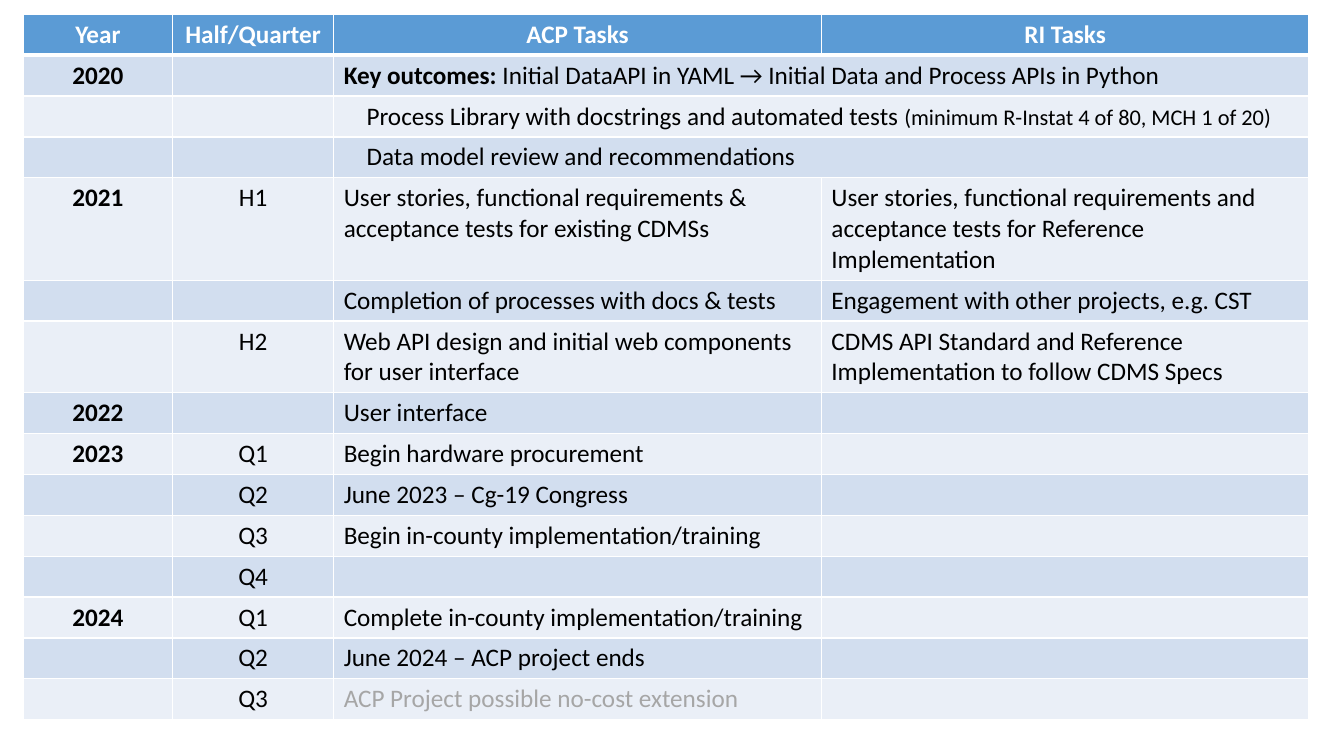
import pptx
import pptx.util
import pptx.dml.color
import pptx.enum.text
import lxml.etree
from pptx.oxml.ns import qn

Cm = pptx.util.Cm
CENTER = pptx.enum.text.PP_ALIGN.CENTER
LEFT = pptx.enum.text.PP_ALIGN.LEFT


def color(value):
    return pptx.dml.color.RGBColor.from_string(value)


def add_text(p, text, size=18, bold=False, fill="000000", align=LEFT):
    p.alignment = align
    r = p.add_run()
    r.text = text
    r.font.name = "Calibri"
    r.font.size = pptx.util.Pt(size)
    r.font.bold = bold
    r.font.color.rgb = color(fill)


prs = pptx.Presentation()
prs.slide_width, prs.slide_height = Cm(33.87), Cm(19.05)
s = prs.slides.add_slide(prs.slide_layouts[6])

# Roadmap content: year, half or quarter, ACP tasks, RI tasks
rows = [
    ("Year", "Half/Quarter", "ACP Tasks", "RI Tasks"),
    ("2020", "", "Key outcomes:", ""),
    ("", "", "Process Library with docstrings and automated tests ", ""),
    ("", "", "Data model review and recommendations", ""),
    ("2021", "H1",
     "User stories, functional requirements & acceptance tests for existing CDMSs",
     "User stories, functional requirements and acceptance tests for Reference Implementation"),
    ("", "", "Completion of processes with docs & tests",
     "Engagement with other projects, e.g. CST"),
    ("", "H2", "Web API design and initial web components for user interface",
     "CDMS API Standard and Reference Implementation to follow CDMS Specs"),
    ("2022", "", "User interface", ""),
    ("2023", "Q1", "Begin hardware procurement", ""),
    ("", "Q2", "June 2023 – Cg-19 Congress", ""),
    ("", "Q3", "Begin in-county implementation/training", ""),
    ("", "Q4", "", ""),
    ("2024", "Q1", "Complete in-county implementation/training", ""),
    ("", "Q2", "June 2024 – ACP project ends", ""),
    ("", "Q3", "ACP Project possible no-cost extension", ""),
]
widths = [3.76, 4.06, 12.29, 12.29]
row_height = 1.03

# Table grid
table = s.shapes.add_table(len(rows), len(widths), Cm(0.59), Cm(0.36),
                           Cm(sum(widths)), Cm(row_height * len(rows))).table
for column, width in zip(table.columns, widths):
    column.width = Cm(width)
for row in table.rows:
    row.height = Cm(row_height)

# Cells: white borders, banded fills and text
for i, row in enumerate(rows):
    for j, text in enumerate(row):
        cell = table.cell(i, j)
        tcPr = cell._tc.get_or_add_tcPr()
        for side in "LRTB":
            thick = (i, side) in [(0, "B"), (1, "T")]
            ln = lxml.etree.SubElement(tcPr, qn("a:ln" + side),
                                       w=str(pptx.util.Pt(3 if thick else 1)))
            solid = lxml.etree.SubElement(ln, qn("a:solidFill"))
            lxml.etree.SubElement(solid, qn("a:srgbClr"), val="FFFFFF")
        cell.fill.solid()
        band = "D2DEEF" if i % 2 else "EAEFF7"
        cell.fill.fore_color.rgb = color(band if i else "5B9BD5")

        p = cell.text_frame.paragraphs[0]
        p.font.size = pptx.util.Pt(18)
        if text:
            fill = "000000" if i else "FFFFFF"
            if text.startswith("ACP Project"):
                fill = "A6A6A6"
            add_text(p, text, fill=fill,
                     bold=i == 0 or j == 0 or text == "Key outcomes:",
                     align=CENTER if i == 0 or j < 2 else LEFT)

# Key outcomes of 2020 span both task columns
for i in (1, 2, 3):
    table.cell(i, 2).merge(table.cell(i, 3))
for i in (2, 3):
    table.cell(i, 2).margin_left = Cm(0.83)
add_text(table.cell(1, 2).text_frame.paragraphs[0],
         " Initial DataAPI in YAML → Initial Data and Process APIs in Python")
add_text(table.cell(2, 2).text_frame.paragraphs[0],
         "(minimum R-Instat 4 of 80, MCH 1 of 20)", size=16)

prs.save("out.pptx")
